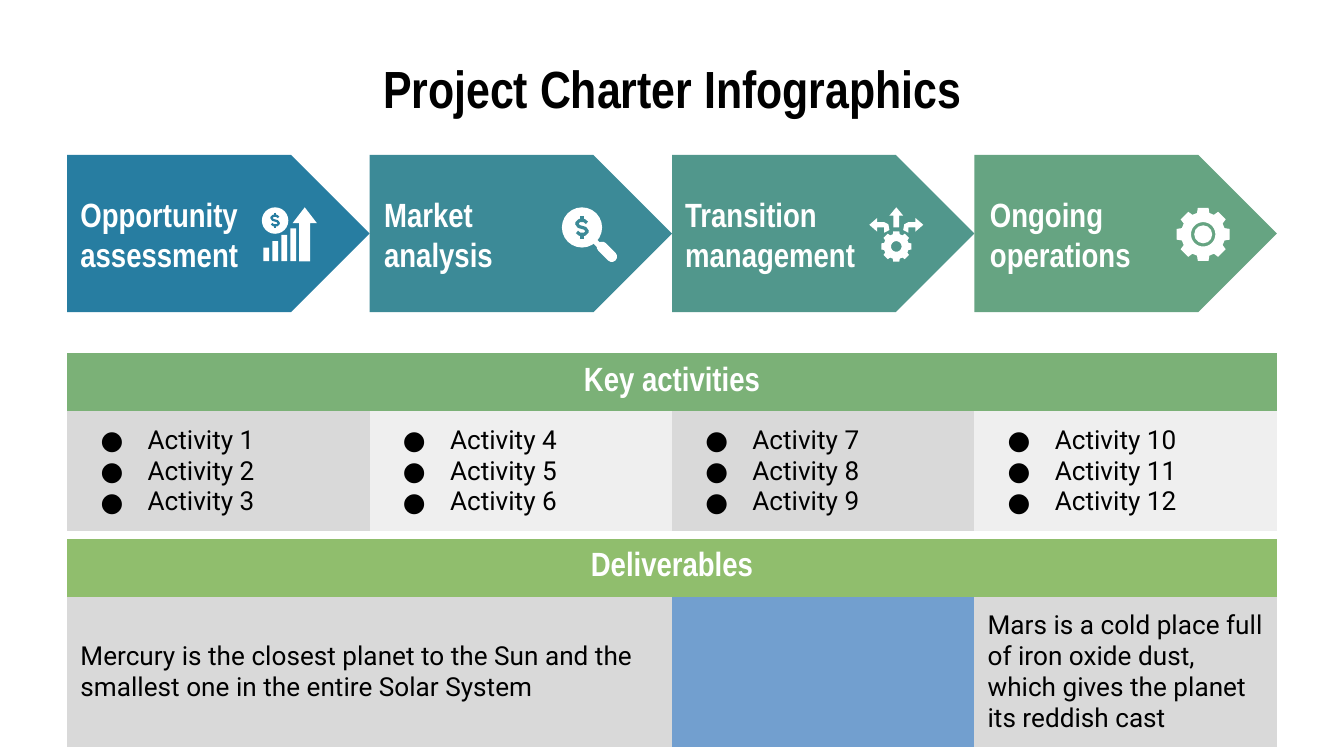
import math

import lxml.etree
import pptx
import pptx.dml.color
import pptx.enum.shapes
import pptx.enum.text
import pptx.oxml.ns
import pptx.util

Cm = pptx.util.Cm
RGBColor = pptx.dml.color.RGBColor
MSO_SHAPE = pptx.enum.shapes.MSO_SHAPE
PP_ALIGN = pptx.enum.text.PP_ALIGN
MIDDLE = pptx.enum.text.MSO_ANCHOR.MIDDLE

BLACK = RGBColor(0x00, 0x00, 0x00)
WHITE = RGBColor(0xFF, 0xFF, 0xFF)
BLUE = RGBColor(0x27, 0x7D, 0xA1)
TEAL = RGBColor(0x3C, 0x8A, 0x97)
SEA = RGBColor(0x51, 0x97, 0x8C)
SAGE = RGBColor(0x66, 0xA4, 0x82)
GREEN = RGBColor(0x7B, 0xB1, 0x77)
LIME = RGBColor(0x90, 0xBE, 0x6D)
GRAY = RGBColor(0xD9, 0xD9, 0xD9)
LIGHT_GRAY = RGBColor(0xEF, 0xEF, 0xEF)

HEADING_FONT = "Arial Narrow"
BODY_FONT = "Roboto"
PLAIN_TABLE_STYLE = "{2D5ABB26-0587-4C30-8999-92F81FD0307C}"
SLIDE_WIDTH, SLIDE_HEIGHT = 25.4, 14.29
MARGIN = 1.27
COLUMN_COUNT = 4
CONTENT_WIDTH = SLIDE_WIDTH - 2 * MARGIN
COLUMN_WIDTH = CONTENT_WIDTH / COLUMN_COUNT
ROW_HEIGHT = 1.08
INSET = 0.25
ARROW_TOP, ARROW_HEIGHT = 2.93, 2.97
ICON_TOP, ICON_SIZE = 3.92, 1.02


def format_paragraph(paragraph, size, name, color, bold=False, alignment=None):
    paragraph.alignment = alignment
    font = paragraph.font
    font.size = pptx.util.Pt(size)
    font.name = name
    font.bold = bold
    font.color.rgb = color


def set_insets(container):
    container.margin_left = container.margin_right = Cm(INSET)
    container.margin_top = container.margin_bottom = Cm(INSET)


def paint(shape, color):
    shape.shadow.inherit = False
    shape.fill.solid()
    shape.fill.fore_color.rgb = color
    shape.line.fill.background()


def add_preset(shapes, kind, left, top, width, height, color=WHITE, adjustments=()):
    shape = shapes.add_shape(kind, Cm(left), Cm(top), Cm(width), Cm(height))
    paint(shape, color)
    for index, value in enumerate(adjustments):
        shape.adjustments[index] = value
    return shape


def add_outline(shapes, contours, close=True):
    contours = [[(Cm(x), Cm(y)) for x, y in contour] for contour in contours]
    builder = shapes.build_freeform(*contours[0][0])
    builder.add_line_segments(contours[0][1:], close=close)
    for contour in contours[1:]:
        builder.move_to(*contour[0])
        builder.add_line_segments(contour[1:], close=close)
    shape = builder.convert_to_shape()
    paint(shape, WHITE)
    return shape


def add_dollar(shapes, x, y, height, color):
    curve = [(0.22, -0.2), (0.1, -0.3), (-0.12, -0.3), (-0.24, -0.18), (-0.14, -0.04)]
    curve += [(-dx, -dy) for dx, dy in reversed(curve)]
    strokes = [curve, [(0, -0.5), (0, -0.3)], [(0, 0.3), (0, 0.5)]]
    contours = [[(x + dx * height, y + dy * height) for dx, dy in stroke] for stroke in strokes]
    shape = add_outline(shapes, contours, close=False)
    shape.fill.background()
    shape.line.color.rgb = color
    shape.line.width = pptx.util.Pt(4 * height)


def add_gear(shapes, x, y, radius, root, hole):
    def polar(distance, angle):
        return x + distance * math.cos(angle), y + distance * math.sin(angle)

    teeth = []
    for index in range(8):
        angle = index * math.pi / 4
        for distance, offset in ((root, -0.28), (radius, -0.2), (radius, 0.2), (root, 0.28)):
            teeth.append(polar(distance, angle + offset))
    opening = [polar(hole, -index * math.pi / 18) for index in range(36)]
    add_outline(shapes, [teeth, opening])


def add_growth_icon(shapes, left, color):
    for index in range(4):
        top = 0.76 - 0.12 * index
        add_preset(shapes, MSO_SHAPE.RECTANGLE, left + 0.03 + 0.17 * index,
                   ICON_TOP + top, 0.11, ICON_SIZE - top)
    add_preset(shapes, MSO_SHAPE.UP_ARROW, left + 0.58, ICON_TOP, 0.46, ICON_SIZE,
               adjustments=(0.45, 0.65))
    add_preset(shapes, MSO_SHAPE.OVAL, left, ICON_TOP, 0.5, 0.5)
    add_dollar(shapes, left + 0.25, ICON_TOP + 0.25, 0.3, color)


def add_search_icon(shapes, left, color):
    add_preset(shapes, MSO_SHAPE.OVAL, left, ICON_TOP, 0.76, 0.76)
    neck = add_preset(shapes, MSO_SHAPE.RECTANGLE, left + 0.58, ICON_TOP + 0.63, 0.16, 0.1)
    handle = add_preset(shapes, MSO_SHAPE.ROUNDED_RECTANGLE, left + 0.62, ICON_TOP + 0.74,
                        0.46, 0.2, adjustments=(0.5,))
    neck.rotation = handle.rotation = 45
    add_dollar(shapes, left + 0.38, ICON_TOP + 0.38, 0.43, color)


def add_transition_icon(shapes, left, color):
    side_arrow = [(0, 0.33), (0.15, 0.2), (0.15, 0.28), (0.28, 0.28), (0.36, 0.32),
                  (0.38, 0.43), (0.28, 0.48), (0.28, 0.38), (0.15, 0.38), (0.15, 0.46)]
    mirrored = [(ICON_SIZE - x, y) for x, y in side_arrow]
    for outline in (side_arrow, mirrored):
        add_outline(shapes, [[(left + x, ICON_TOP + y) for x, y in outline]])
    add_preset(shapes, MSO_SHAPE.UP_ARROW, left + 0.38, ICON_TOP, 0.26, 0.38,
               adjustments=(0.42, 0.6))
    add_gear(shapes, left + 0.51, ICON_TOP + 0.74, 0.29, 0.24, 0.1)


def add_operations_icon(shapes, left, color):
    add_gear(shapes, left + 0.5, ICON_TOP + 0.51, 0.51, 0.42, 0.23)
    add_preset(shapes, MSO_SHAPE.OVAL, left + 0.33, ICON_TOP + 0.34, 0.34, 0.34)


def add_stage(slide, index, label, label_left, color, add_icon, icon_left):
    add_preset(slide.shapes, MSO_SHAPE.PENTAGON, MARGIN + index * COLUMN_WIDTH, ARROW_TOP,
               COLUMN_WIDTH, ARROW_HEIGHT, color, (0.5,))
    box = slide.shapes.add_textbox(Cm(label_left), Cm(3.66), Cm(3.75), Cm(1.52))
    frame = box.text_frame
    frame.word_wrap = True
    frame.vertical_anchor = MIDDLE
    set_insets(frame)
    frame.text = label
    format_paragraph(frame.paragraphs[0], 18, HEADING_FONT, WHITE, bold=True)
    add_icon(slide.shapes.add_group_shape().shapes, icon_left, color)


def add_bullet(paragraph):
    properties = paragraph._p.get_or_add_pPr()
    properties.set("marL", str(Cm(1.27)))
    properties.set("indent", str(-Cm(0.89)))
    qn = pptx.oxml.ns.qn
    bullet_color = lxml.etree.SubElement(properties, qn("a:buClr"))
    lxml.etree.SubElement(bullet_color, qn("a:srgbClr"), val=str(BLACK))
    lxml.etree.SubElement(properties, qn("a:buFont"), typeface=BODY_FONT)
    lxml.etree.SubElement(properties, qn("a:buChar"), char="●")


def fill_cell(cell, lines, color, bulleted=False):
    cell.fill.solid()
    cell.fill.fore_color.rgb = color
    cell.vertical_anchor = MIDDLE
    set_insets(cell)
    cell.text = "\n".join(lines)
    for paragraph in cell.text_frame.paragraphs:
        if bulleted:
            add_bullet(paragraph)
        format_paragraph(paragraph, 14, BODY_FONT, BLACK)


def add_section(slide, top, heading, color):
    frame = slide.shapes.add_table(2, COLUMN_COUNT, Cm(MARGIN), Cm(top),
                                   Cm(CONTENT_WIDTH), Cm(2 * ROW_HEIGHT))
    table = frame.table
    table.first_row = table.horz_banding = False
    table._tbl.tblPr.find(pptx.oxml.ns.qn("a:tableStyleId")).text = PLAIN_TABLE_STYLE
    header = table.cell(0, 0)
    header.merge(table.cell(0, COLUMN_COUNT - 1))
    fill_cell(header, [heading], color)
    header.vertical_anchor = pptx.enum.text.MSO_ANCHOR.TOP
    format_paragraph(header.text_frame.paragraphs[0], 18, HEADING_FONT, WHITE,
                     bold=True, alignment=PP_ALIGN.CENTER)
    return table


def add_title(slide, text):
    title = slide.shapes.title
    title.left, title.top = Cm(MARGIN), Cm(1.14)
    title.width, title.height = Cm(CONTENT_WIDTH), Cm(1.04)
    frame = title.text_frame
    frame.vertical_anchor = MIDDLE
    set_insets(frame)
    frame.text = text
    format_paragraph(frame.paragraphs[0], 28, HEADING_FONT, BLACK,
                     bold=True, alignment=PP_ALIGN.CENTER)


def main():
    presentation = pptx.Presentation()
    presentation.slide_width, presentation.slide_height = Cm(SLIDE_WIDTH), Cm(SLIDE_HEIGHT)
    slide = presentation.slides.add_slide(presentation.slide_layouts[5])
    add_title(slide, "Project Charter Infographics")

    activities = add_section(slide, 6.68, "Key activities", GREEN)
    for column in range(COLUMN_COUNT):
        lines = [f"Activity {3 * column + number}" for number in (1, 2, 3)]
        fill_cell(activities.cell(1, column), lines, (GRAY, LIGHT_GRAY)[column % 2], bulleted=True)

    deliverables = add_section(slide, 10.19, "Deliverables", LIME)
    descriptions = (
        "Mercury is the closest planet to the Sun and the smallest one in the entire Solar System",
        "Mars is a cold place full of iron oxide dust, which gives the planet its reddish cast",
    )
    for column, description in zip((0, 2), descriptions):
        cell = deliverables.cell(1, column)
        cell.merge(deliverables.cell(1, column + 1))
        fill_cell(cell, [description], GRAY)

    stages = (
        ("Opportunity assessment", 1.27, BLUE, add_growth_icon, 4.95),
        ("Market analysis", 7.01, TEAL, add_search_icon, 10.62),
        ("Transition management", 12.7, SEA, add_transition_icon, 16.43),
        ("Ongoing operations", 18.46, SAGE, add_operations_icon, 22.24),
    )
    for index, stage in enumerate(stages):
        add_stage(slide, index, *stage)

    presentation.save("out.pptx")


if __name__ == "__main__":
    main()
